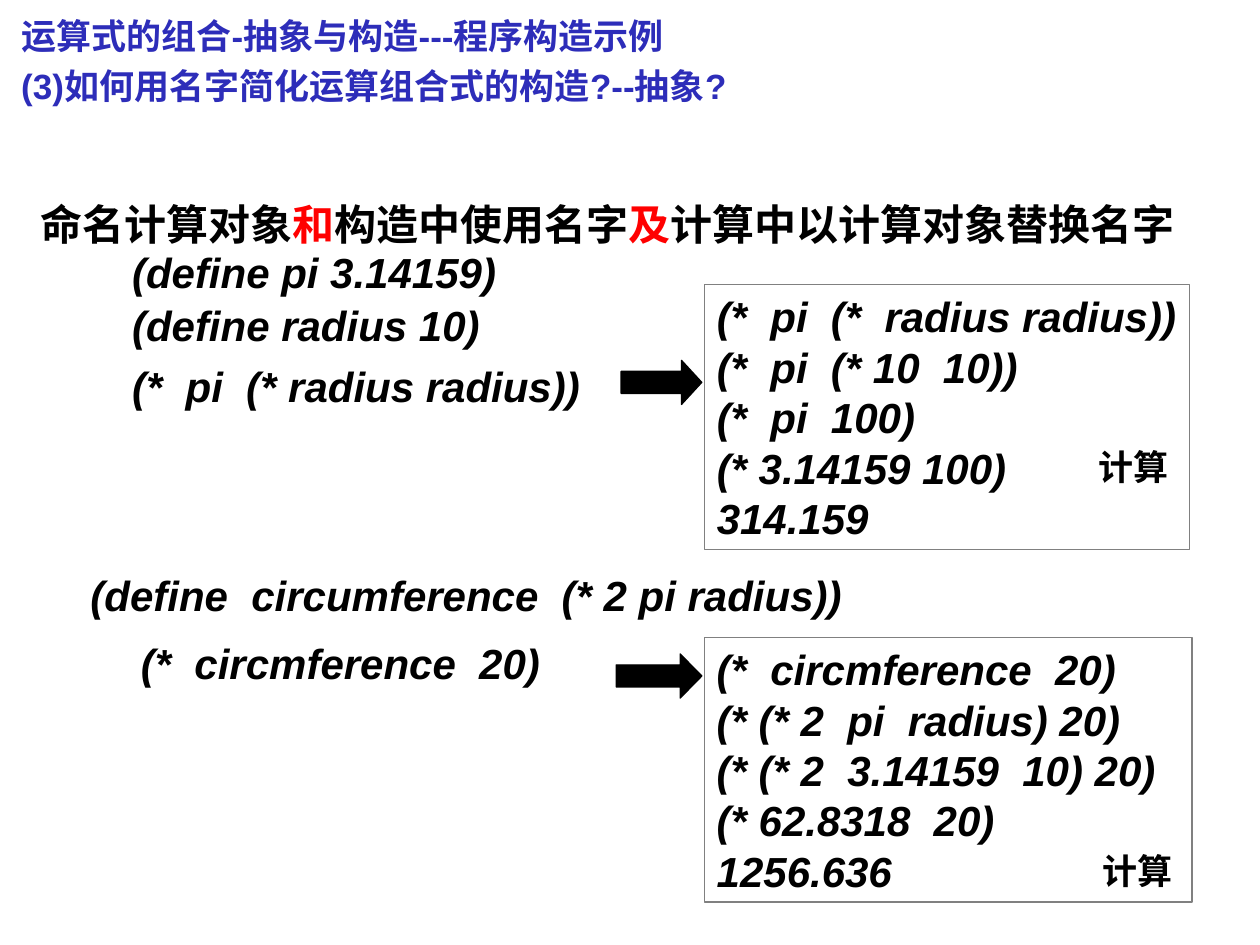
from pptx import Presentation
from pptx.dml.color import RGBColor
from pptx.enum.shapes import MSO_SHAPE as SHAPE
from pptx.enum.text import MSO_ANCHOR as ANCHOR, MSO_AUTO_SIZE as AUTO_SIZE, PP_ALIGN as ALIGN
from pptx.util import Inches, Pt

BLACK = RGBColor(0, 0, 0)
WHITE = RGBColor(255, 255, 255)
GRAY = RGBColor(0x80, 0x80, 0x80)
RED = RGBColor(255, 0, 0)
BLUE = RGBColor(0x2D, 0x2D, 0xB9)

# Grid of 100 columns and 75 rows, each a tenth of an inch
CELL = Inches(0.1)
COLUMNS, ROWS = 100, 75
CODE_ROWS = 5
NOTE_COLUMNS, NOTE_ROWS = 7.8, 4.4
ARROW_ROWS = 3.5


def place(*cells):
    return [round(cell * CELL) for cell in cells]


def write(shape, lines, size=24, color=BLACK, italic=False, spacing=None, wrap=False):
    """Fill a shape with lines; a line is a string or a list of (text, colour)."""
    frame = shape.text_frame
    frame.word_wrap = wrap
    frame.auto_size = AUTO_SIZE.SHAPE_TO_FIT_TEXT
    frame.vertical_anchor = ANCHOR.TOP
    for index, line in enumerate(lines):
        paragraph = frame.add_paragraph() if index else frame.paragraphs[0]
        if isinstance(line, str):
            paragraph.text = line
        else:
            for text, run_color in line:
                run = paragraph.add_run()
                run.text = text
                run.font.color.rgb = run_color
        paragraph.alignment = ALIGN.LEFT
        paragraph.line_spacing = spacing
        font = paragraph.font
        font.name, font.size = "Arial", Pt(size)
        font.bold, font.italic = True, italic
        font.color.rgb = color


def add_text(slide, box, lines, **style):
    write(slide.shapes.add_textbox(*place(*box)), lines, **style)


def add_solid(slide, kind, box, fill, line):
    solid = slide.shapes.add_shape(kind, *place(*box))
    solid.shadow.inherit = False
    solid.fill.solid()
    solid.fill.fore_color.rgb = fill
    solid.line.color.rgb = line
    solid.line.width = Pt(0.75)
    return solid


def add_heading(slide, box):
    add_text(slide, box,
             ["运算式的组合-抽象与构造---程序构造示例 \v(3)如何用名字简化运算组合式的构造?--抽象?"],
             size=20, color=BLUE, spacing=1.2)


def add_principle(slide, box):
    add_text(slide, box,
             [[("命名计算对象", BLACK), ("和", RED), ("构造中使用名字", BLACK),
               ("及", RED), ("计算中以计算对象替换名字", BLACK)]],
             spacing=1.4, wrap=True)


def add_definitions(slide, box, entries):
    """Code lines given as (column offset, row offset, width, text)."""
    left, top = box
    for dx, dy, width, code in entries:
        add_text(slide, (left + dx, top + dy, width, CODE_ROWS), [code], italic=True)


def add_evaluation(slide, box, steps, arrow, note):
    """Framed evaluation steps, the arrow leading in and the note inside."""
    left, top, width, height = box
    frame = add_solid(slide, SHAPE.RECTANGLE, box, WHITE, GRAY)
    write(frame, steps, italic=True)

    # The arrow stops just short of the frame
    arrow_width, arrow_drop, head = arrow
    pointer = add_solid(
        slide, SHAPE.RIGHT_ARROW,
        (left - 0.2 - arrow_width, top + arrow_drop, arrow_width, ARROW_ROWS), BLACK, BLACK)
    pointer.adjustments[0], pointer.adjustments[1] = 0.5, head

    note_dx, note_dy = note
    add_text(slide, (left + note_dx, top + note_dy, NOTE_COLUMNS, NOTE_ROWS), ["计算"], size=20)


def main():
    deck = Presentation()
    deck.slide_width, deck.slide_height = place(COLUMNS, ROWS)
    slide = deck.slides.add_slide(deck.slide_layouts[6])

    add_heading(slide, (0.7, 0, 60.6, 9))
    add_principle(slide, (2.2, 13.7, 94.5, 6.6))

    # Named values and their use
    add_definitions(slide, (9.5, 19.1), [
        (0, 0, 32, "(define pi 3.14159)"),
        (0, 4.2, 30.7, "(define radius 10)"),
        (0, 9, 38, "(*  pi  (* radius radius))"),
    ])
    add_evaluation(
        slide, (55.9, 22.6, 38.5, 21),
        ["(*  pi  (*  radius radius))", "(*  pi  (* 10  10))", "(*  pi  100)",
         "(* 3.14159 100)", "314.159"],
        arrow=(6.4, 6, 0.46), note=(30.3, 12.3))

    # Named expression and its use
    add_definitions(slide, (6.2, 44.7), [
        (0, 0, 62, "(define  circumference  (* 2 pi radius))"),
        (4, 5.4, 34, "(*  circmference  20)"),
    ])
    add_evaluation(
        slide, (55.9, 50.6, 38.7, 21),
        ["(*  circmference  20)", "(* (* 2  pi  radius) 20)", "(* (* 2  3.14159  10) 20)",
         "(* 62.8318  20)", "1256.636"],
        arrow=(6.8, 1.3, 0.49), note=(30.6, 16.3))

    deck.save("out.pptx")


if __name__ == "__main__":
    main()
